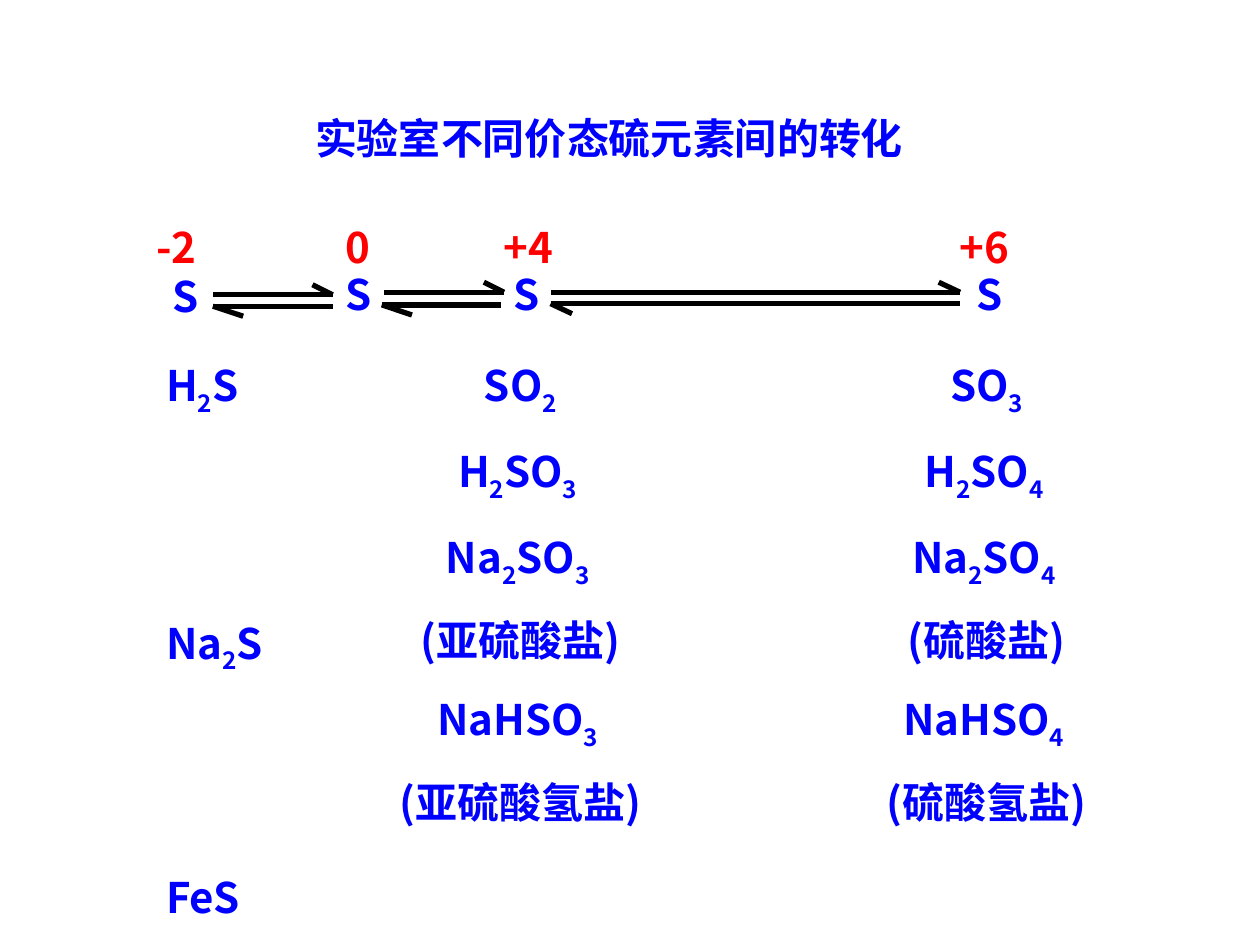
import itertools
import pptx
import pptx.dml.color
import pptx.enum.shapes
import pptx.enum.text
import pptx.oxml.ns
import pptx.util
from lxml import etree

Inches, Pt = pptx.util.Inches, pptx.util.Pt
ALIGN = pptx.enum.text.PP_ALIGN
FACE = "Noto Sans CJK SC"
BLUE, RED, BLACK = "0000FF", "FF0000", "000000"
qn = pptx.oxml.ns.qn
color = pptx.dml.color.RGBColor.from_string

deck = pptx.Presentation()
deck.slide_width, deck.slide_height = Inches(10), Inches(7.5)
slide = deck.slides.add_slide(deck.slide_layouts[5])


def write(shape, box, rows, hue=BLUE, align=ALIGN.LEFT, lead=1, gap=0, sub=False):
    """Place a shape and fill it with rows; sub lowers the digits of formulas."""
    shape.left, shape.top, shape.width, shape.height = map(Inches, box)
    frame = shape.text_frame
    frame.word_wrap = True
    frame.auto_size = pptx.enum.text.MSO_AUTO_SIZE.NONE
    frame.vertical_anchor = pptx.enum.text.MSO_ANCHOR.TOP
    for i, row in enumerate(rows):
        para = frame.add_paragraph() if i else frame.paragraphs[0]
        para.alignment, para.line_spacing = align, lead
        para.space_before = Pt(gap if i else 0)
        font = para.font
        font.size, font.bold = Pt(24), True
        font.color.rgb = color(hue)
        font.name = FACE
        east = etree.SubElement(para._p.pPr.find(qn("a:defRPr")), qn("a:ea"))
        east.set("typeface", FACE)
        for low, part in itertools.groupby(row, lambda c: sub and c in "234 "):
            run = para.add_run()
            run.text = "".join(part)
            if low:
                run._r.get_or_add_rPr().set("baseline", "-25000")


def line(x1, y1, x2, y2):
    kind = pptx.enum.shapes.MSO_CONNECTOR.STRAIGHT
    link = slide.shapes.add_connector(kind, *map(Inches, (x1, y1, x2, y2)))
    link.line.color.rgb = color(BLACK)
    link.line.width = Pt(3)
    etree.SubElement(link._element.spPr, qn("a:effectLst"))


# Title
write(slide.shapes.title, (2.4, 0.84, 5.35, 0.5), ["实验室不同价态硫元素间的转化"])

# Half-headed arrow pairs: upper start, lower start, length, heights, barbs
pairs = [
    (1.69, 1.69, 0.95, 2.34, 2.43, 0.16, 0.24),
    (3.05, 3.03, 0.95, 2.32, 2.42, 0.16, 0.24),
    (4.37, 4.37, 3.25, 2.32, 2.41, 0.17, 0.17),
]
for left, base, size, top, low, head, tail in pairs:
    tip = left + size
    line(left, top, tip, top)
    line(tip, top, tip - head, top - 0.08)
    line(base, low, base + size, low)
    line(base, low, base + tail, low + 0.08)

# Sulfur symbols with their oxidation states
states = [
    ("-2", 1.14, 1.27, 2.1),
    ("0", 2.64, 2.64, 2.08),
    ("+4", 3.9, 3.98, 2.08),
    ("+6", 7.52, 7.65, 2.08),
]
for state, x, left, top in states:
    for text, box, hue in (("S", (left, top, 0.66, 0.5), BLUE),
                           (state, (x, 1.71, 0.71, 0.5), RED)):
        write(slide.shapes.add_textbox(0, 0, 0, 0), box, [text], hue)

# Compounds under each state
columns = [
    ((1.22, 2.58, 1.34, 4.85), ALIGN.LEFT, 98, ["H2S", "Na2S", "FeS"]),
    ((2.79, 2.58, 2.68, 4.03), ALIGN.CENTER, 0,
     ["SO2", "H2SO3 ", "Na2SO3 ", "(亚硫酸盐)", "NaHSO3 ", "(亚硫酸氢盐)"]),
    ((6.49, 2.58, 2.68, 4.03), ALIGN.CENTER, 0,
     ["SO3", "H2SO4 ", "Na2SO4 ", "(硫酸盐)", "NaHSO4 ", "(硫酸氢盐)"]),
]
for box, align, gap, rows in columns:
    write(slide.shapes.add_textbox(0, 0, 0, 0), box, rows,
          align=align, lead=1.5, gap=gap, sub=True)

deck.save("out.pptx")
